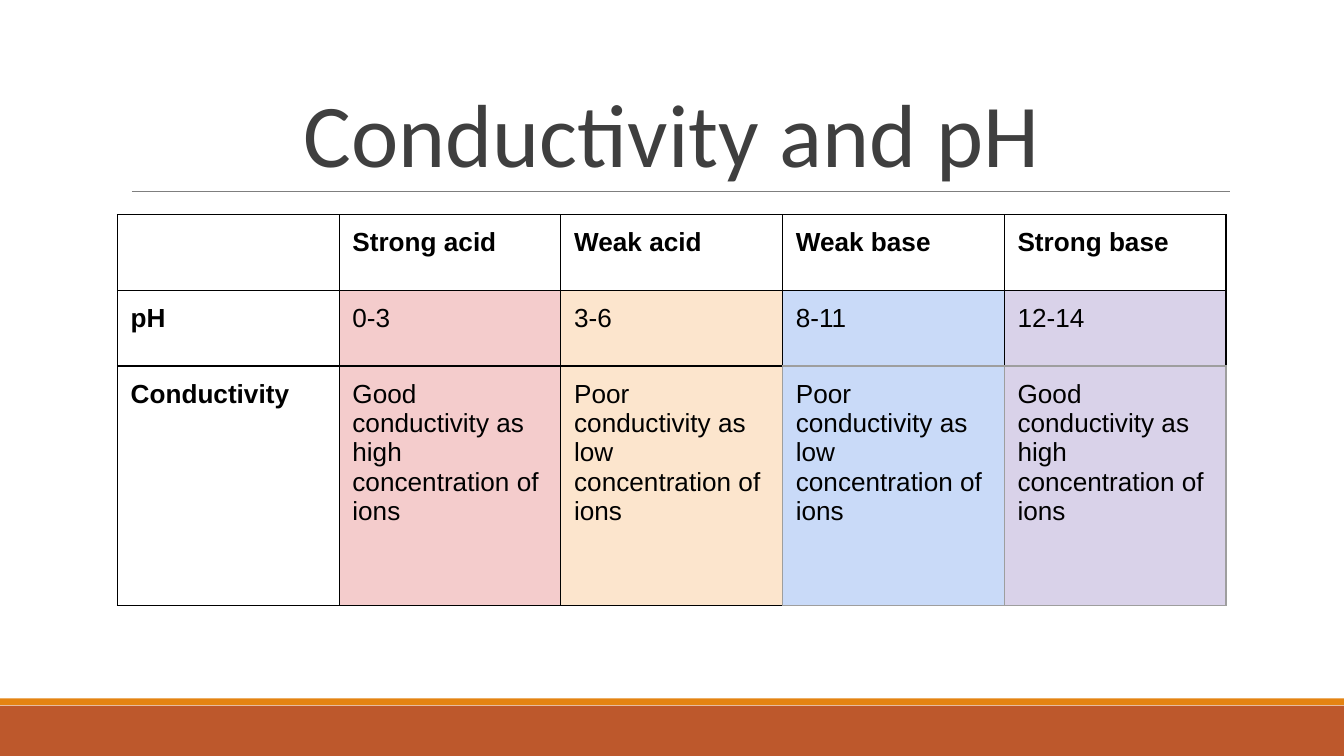
from lxml import etree
from pptx import Presentation
from pptx.dml.color import RGBColor
from pptx.enum import shapes, text
from pptx.oxml import ns
from pptx.util import Cm, Pt

HUES = {
    "rust": "BD582C", "orange": "E48312", "rule": "7F7F7F",
    "title": "3F3F3F", "ink": "000000", "pale": "9E9E9E",
    "white": "FFFFFF", "red": "F4CCCC", "peach": "FCE5CD",
    "blue": "C9DAF8", "violet": "D9D2E9",
}
FILLS = ["white", "red", "peach", "blue", "violet"]
GOOD = "Good conductivity as high concentration of ions"
POOR = "Poor conductivity as low concentration of ions"
ROWS = [
    ["", "Strong acid", "Weak acid", "Weak base", "Strong base"],
    ["pH", "0-3", "3-6", "8-11", "12-14"],
    ["Conductivity", GOOD, POOR, POOR, GOOD],
]
HEIGHTS = [1.43, 1.43, 4.53]
PALE = {(2, 3), (2, 4)}
SIDES = {"L": (0, -1), "R": (0, 1), "T": (-1, 0), "B": (1, 0)}


def hue(name):
    return RGBColor.from_string(HUES[name])


def write(frame, words, size=14, font="Arial", color="ink", bold=False,
          align=text.PP_ALIGN.LEFT, space=1.0):
    para = frame.paragraphs[0]
    para.alignment = align
    para.line_spacing = space
    run = para.add_run()
    run.text = words
    run.font.size = Pt(size)
    run.font.name = font
    run.font.bold = bold
    run.font.color.rgb = hue(color)


def add_title(slide, words):
    title = slide.shapes.title
    title.left, title.top = Cm(2.22), Cm(0.62)
    title.width, title.height = Cm(20.96), Cm(3.02)
    frame = title.text_frame
    frame.word_wrap = True
    frame.auto_size = text.MSO_AUTO_SIZE.NONE
    frame.vertical_anchor = text.MSO_ANCHOR.BOTTOM
    write(frame, words, size=48, font="Calibri", color="title",
          align=text.PP_ALIGN.CENTER, space=0.85)


def add_band(slide, top, height, color):
    band = slide.shapes.add_shape(shapes.MSO_SHAPE.RECTANGLE, 0, Cm(top),
                                  Cm(25.4), Cm(height))
    band.shadow.inherit = False
    band.fill.solid()
    band.fill.fore_color.rgb = hue(color)
    band.line.fill.background()


def add_rule(slide, left, right, top):
    rule = slide.shapes.add_connector(shapes.MSO_CONNECTOR.STRAIGHT, Cm(left),
                                      Cm(top), Cm(right), Cm(top))
    rule.line.color.rgb = hue("rule")
    rule.line.width = Pt(0.75)
    etree.SubElement(rule._element.spPr, ns.qn("a:effectLst"))


def add_edges(cell, row, col):
    props = cell._tc.get_or_add_tcPr()
    for side, (down, over) in SIDES.items():
        pale = PALE & {(row, col), (row + down, col + over)}
        edge = etree.SubElement(props, ns.qn("a:ln" + side), w=str(Pt(0.75)))
        fill = etree.SubElement(edge, ns.qn("a:solidFill"))
        etree.SubElement(fill, ns.qn("a:srgbClr"),
                         val=HUES["pale" if pale else "ink"])


def add_cell(cell, words, row, col):
    cell.margin_left = cell.margin_right = Cm(0.25)
    cell.margin_top = cell.margin_bottom = Cm(0.25)
    add_edges(cell, row, col)
    cell.fill.solid()
    cell.fill.fore_color.rgb = hue(FILLS[col] if row else "white")
    if words:
        write(cell.text_frame, words, bold=row == 0 or col == 0)


def add_grid(slide):
    grid = slide.shapes.add_table(len(ROWS), len(FILLS), Cm(2.22), Cm(4.06),
                                  Cm(20.95), Cm(sum(HEIGHTS))).table
    grid.first_row = grid.horz_banding = False
    for col in grid.columns:
        col.width = Cm(4.19)
    for row, line in enumerate(ROWS):
        grid.rows[row].height = Cm(HEIGHTS[row])
        for col, words in enumerate(line):
            add_cell(grid.cell(row, col), words, row, col)


def main():
    deck = Presentation()
    deck.slide_width, deck.slide_height = Cm(25.4), Cm(14.29)
    slide = deck.slides.add_slide(deck.slide_layouts[5])
    add_band(slide, 13.34, 0.95, "rust")
    add_band(slide, 13.2, 0.13, "orange")
    add_rule(slide, 2.49, 23.24, 3.62)
    add_title(slide, "Conductivity and pH")
    add_grid(slide)
    deck.save("out.pptx")


if __name__ == "__main__":
    main()
